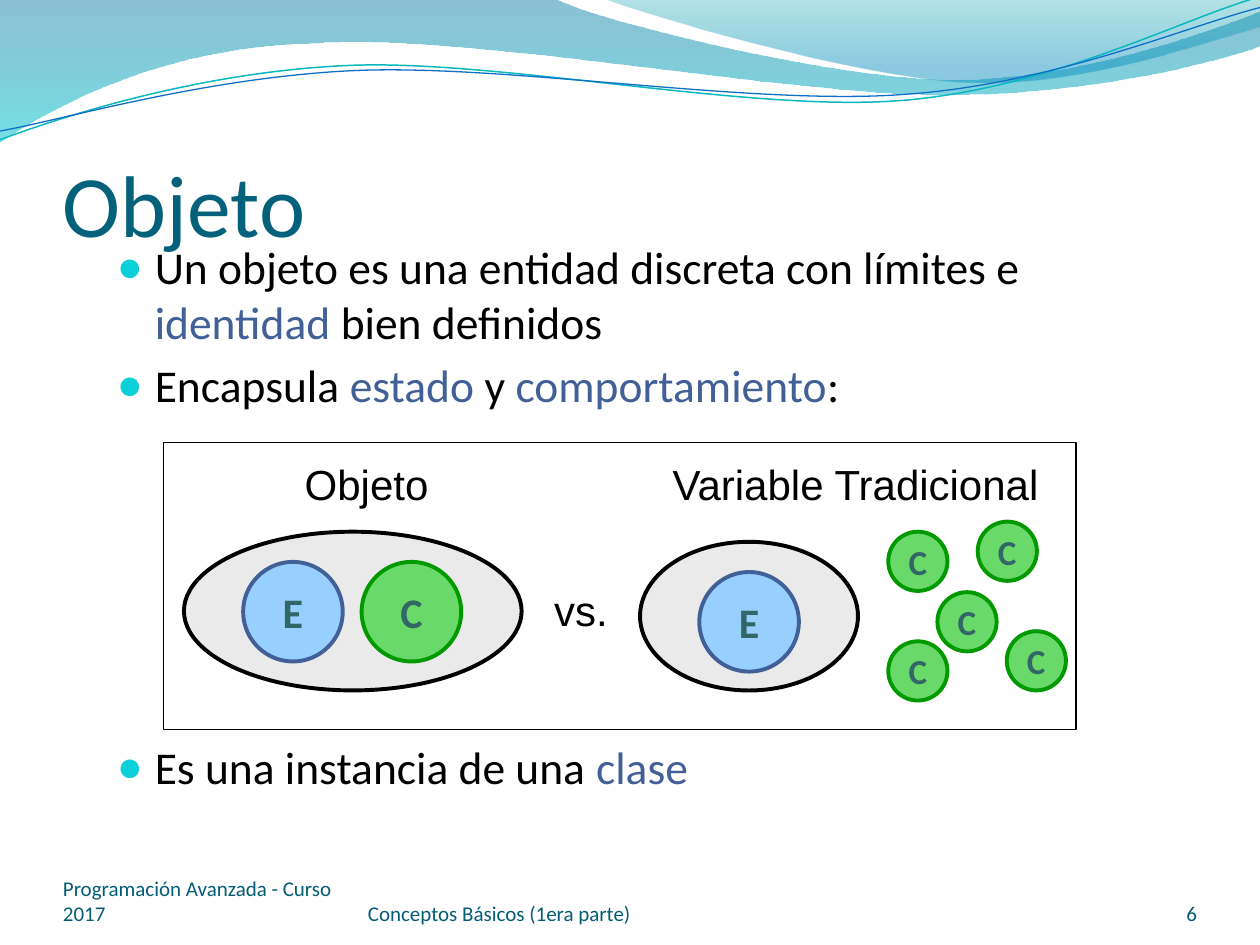
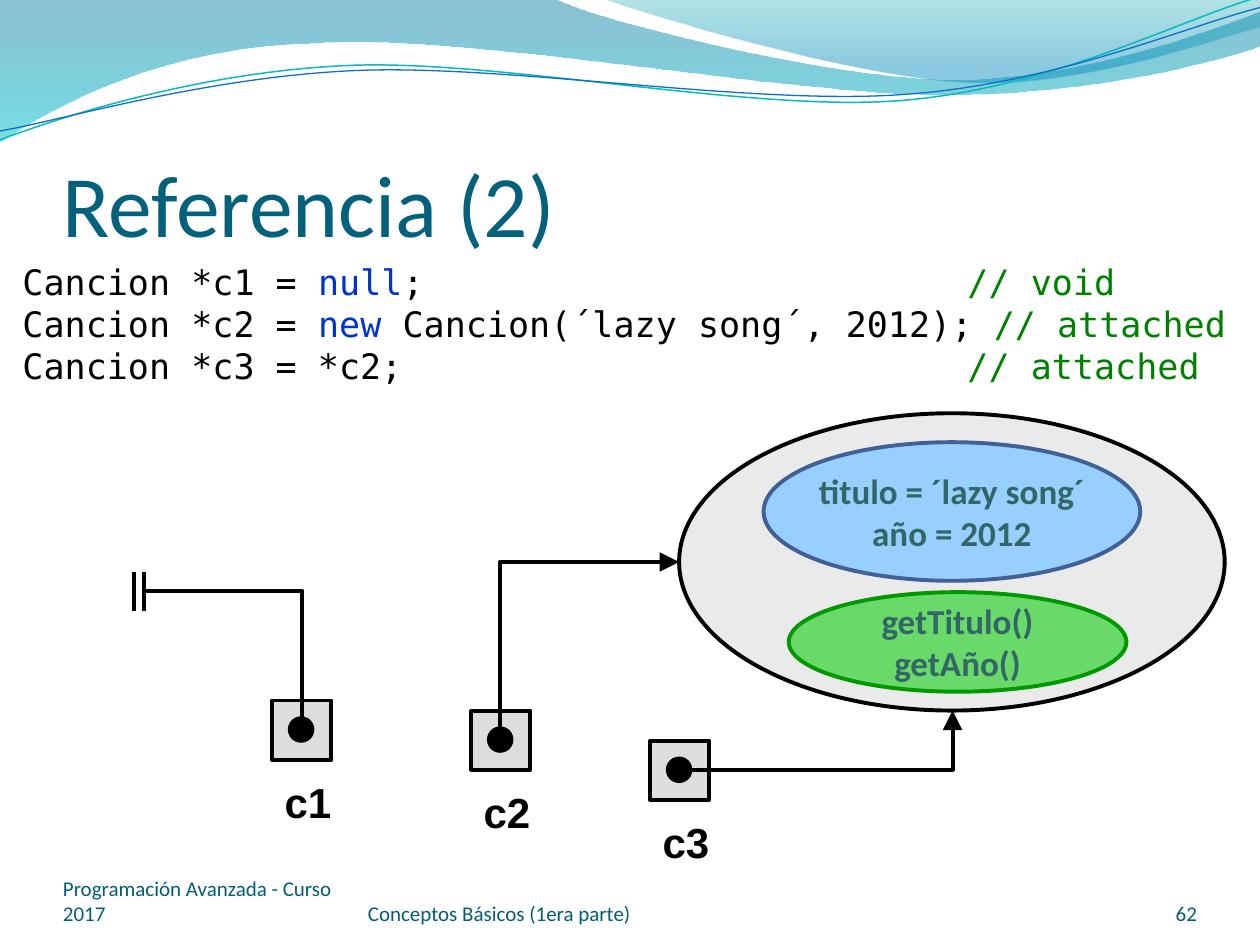
from lxml import etree
from pptx import Presentation
from pptx import util as u
from pptx.dml.color import RGBColor
from pptx.enum import shapes, text
from pptx.oxml import ns

WHITE, BLACK = RGBColor(255, 255, 255), RGBColor(0, 0, 0)
TITLE, FOOTER = RGBColor(0x04, 0x61, 0x7B), RGBColor(0x04, 0x5D, 0x75)
BULLET, KEYWORD = RGBColor(0x0B, 0xD0, 0xD9), RGBColor(0x42, 0x60, 0x98)
OBJECT_FILL, REFERENCE_FILL = RGBColor(0xEA, 0xEA, 0xEA), RGBColor(0xDD, 0xDD, 0xDD)
STATE_FILL, STATE_LINE = RGBColor(0x97, 0xD0, 0xFF), RGBColor(0x42, 0x60, 0x98)
BEHAVIOUR_FILL, BEHAVIOUR_LINE = RGBColor(0x69, 0xD9, 0x69), RGBColor(0x00, 0x99, 0x00)
MEMBER_TEXT = RGBColor(0x33, 0x66, 0x66)
CODE_KEYWORD, CODE_COMMENT = RGBColor(0x00, 0x33, 0xCC), RGBColor(0x00, 0x80, 0x00)

OBJECT = (OBJECT_FILL, BLACK)
STATE = (STATE_FILL, STATE_LINE)
BEHAVIOUR = (BEHAVIOUR_FILL, BEHAVIOUR_LINE)
OVAL, RECTANGLE = shapes.MSO_SHAPE.OVAL, shapes.MSO_SHAPE.RECTANGLE
CENTER, RIGHT = text.PP_ALIGN.CENTER, text.PP_ALIGN.RIGHT
HEADING = {"name": "Calibri", "size": u.Pt(50)}
BODY = {"name": "Calibri", "size": u.Pt(26)}
SMALL = {"name": "Calibri", "size": u.Pt(12)}
CODE = {"name": "DejaVu Sans Mono", "size": u.Pt(20)}
LABEL = {"name": "Arial", "size": u.Pt(24)}
BOLD_LABEL = {**LABEL, "bold": True}
MEMBER = {"name": "Calibri", "size": u.Pt(20), "bold": True}
LETTER = {**MEMBER, "size": u.Pt(24)}

# Each wave: a start point, then segments; three points make a curve, one a line
BAND_LEFT = [[(0, 0)],
             [(4.4, -0.01)],
             [(4.76, 0.17), (6.64, 0.63), (7.58, 0.63)],
             [(8.53, 0.63), (9.58, 0.26), (10, 0.09)],
             [(10.01, 0.36)],
             [(9.83, 0.44), (8.7, 0.76), (7.46, 0.75)],
             [(6.22, 0.75), (3.82, 0.28), (2.57, 0.34)],
             [(1.29, 0.36), (0.46, 0.83), (-0.01, 1.13)]]
BAND_RIGHT = [[(4.79, -0.01)],
              [(5.09, 0.11), (6.82, 0.62), (7.69, 0.65)],
              [(8.56, 0.69), (9.61, 0.32), (10, 0.21)],
              [(10, 0)]]
TEAL_CURVE = [[(0, 1.11)],
              [(0.48, 0.93), (1.58, 0.57), (2.77, 0.52)],
              [(3.95, 0.47), (5.93, 0.89), (7.13, 0.8)],
              [(8.33, 0.71), (9.38, 0.15), (9.98, -0.02)]]
BLUE_CURVE = [[(0, 1.04)],
              [(0.47, 0.96), (1.64, 0.61), (2.83, 0.56)],
              [(4.03, 0.51), (5.97, 0.84), (7.17, 0.75)],
              [(8.36, 0.67), (9.41, 0.21), (10, 0.06)]]
# Wave, gradient stops as (position, colour, opacity in percent)
BANDS = [(BAND_LEFT, [(0, RGBColor(0x00, 0x74, 0xA1), 45), (1, RGBColor(0x00, 0xC6, 0xCF), 55)]),
         (BAND_RIGHT, [(0, RGBColor(0x00, 0xA1, 0xA9), 30), (0.8, RGBColor(0x00, 0x8B, 0xBF), 45)])]
CURVES = [(TEAL_CURVE, RGBColor(0x0A, 0xB8, 0xBF), 0.85),
          (BLUE_CURVE, RGBColor(0x0F, 0x6F, 0xC6), 0.75)]


def add_xml(parent, tag, **attributes):
    return etree.SubElement(parent, ns.qn(tag), attributes)


def write(frame, paragraphs, font, color=BLACK, align=None):
    """Each paragraph is a list of runs: a string, or a (string, colour) pair."""
    for index, runs in enumerate(paragraphs):
        paragraph = frame.paragraphs[0] if index == 0 else frame.add_paragraph()
        paragraph.alignment = align
        for part in runs:
            content, run_color = (part, color) if isinstance(part, str) else part
            run = paragraph.add_run()
            run.text = content
            run.font.color.rgb = run_color
            for name, value in font.items():
                setattr(run.font, name, value)


def add_text(slide, box, paragraphs, font, color=BLACK, align=None, **frame_format):
    frame = slide.shapes.add_textbox(*map(u.Inches, box)).text_frame
    for name, value in {"word_wrap": True, **frame_format}.items():
        setattr(frame, name, value)
    write(frame, paragraphs, font, color, align)
    return frame


def add_label(slide, box, label, font=LABEL):
    add_text(slide, box, [[label]], font, word_wrap=False,
             auto_size=text.MSO_AUTO_SIZE.SHAPE_TO_FIT_TEXT)


def add_figure(slide, kind, box, colors, lines=(), font=MEMBER, width=2.25):
    shape = slide.shapes.add_shape(kind, *map(u.Inches, box))
    shape.shadow.inherit = False
    shape.fill.solid()
    shape.fill.fore_color.rgb, shape.line.color.rgb = colors
    shape.line.width = u.Pt(width)
    if lines:
        shape.text_frame.word_wrap = False
        shape.text_frame.vertical_anchor = text.MSO_ANCHOR.MIDDLE
        write(shape.text_frame, [[line] for line in lines], font, MEMBER_TEXT, CENTER)


def add_line(slide, begin, end, bent=False, arrow=None):
    """A bent line runs across first, then up or down; arrow is headEnd or tailEnd."""
    kind = shapes.MSO_CONNECTOR.ELBOW if bent else shapes.MSO_CONNECTOR.STRAIGHT
    line = slide.shapes.add_connector(kind, *map(u.Inches, (*begin, *end)))
    line.line.color.rgb = BLACK
    line.line.width = u.Pt(2.25)
    properties = line._element.spPr
    if bent:
        properties.find(ns.qn("a:prstGeom")).set("prst", "bentConnector2")
    if arrow:
        add_xml(properties.find(ns.qn("a:ln")), f"a:{arrow}", type="triangle", w="lg", len="lg")
    add_xml(properties, "a:effectLst")


def add_wave(slide, wave, close):
    """Join the end points by lines, then bend the lines that have control points."""
    ends = [tuple(map(u.Inches, segment[-1])) for segment in wave]
    builder = slide.shapes.build_freeform(*ends[0])
    builder.add_line_segments(ends[1:], close=close)
    shape = builder.convert_to_shape()
    shape.shadow.inherit = False
    lines = list(shape._element.spPr.iter(ns.qn("a:lnTo")))
    for line, segment in zip(lines, wave[1:]):
        if len(segment) == 3:
            curve = etree.Element(ns.qn("a:cubicBezTo"))
            for x, y in segment:
                add_xml(curve, "a:pt", x=str(u.Inches(x) - shape.left),
                        y=str(u.Inches(y) - shape.top))
            line.getparent().replace(line, curve)
    return shape


def draw_waves(slide):
    for wave, stops in BANDS:
        band = add_wave(slide, wave, close=True)
        band.line.fill.background()
        band.fill.gradient()
        band.fill.gradient_angle = 270
        for stop, (position, color, _) in zip(band.fill.gradient_stops, stops):
            stop.position, stop.color.rgb = position, color
        tints = band._element.spPr.iter(ns.qn("a:srgbClr"))
        for tint, (_, _, opacity) in zip(list(tints), stops):
            add_xml(tint, "a:alpha", val=str(opacity * 1000))
    for wave, color, width in CURVES:
        curve = add_wave(slide, wave, close=False)
        curve.fill.background()
        curve.line.color.rgb = color
        curve.line.width = u.Pt(width)


def start_slide(presentation, title):
    """Add a slide with the waves and title style that all slides share."""
    slide = presentation.slides.add_slide(presentation.slide_layouts[6])
    draw_waves(slide)
    add_text(slide, (0.5, 0.77, 9, 1.25), [[title]], HEADING, TITLE, margin_left=0,
             margin_right=0, margin_bottom=0, vertical_anchor=text.MSO_ANCHOR.BOTTOM)
    return slide


def add_footers(slide, number):
    flush = {f"margin_{side}": 0 for side in ("left", "top", "right", "bottom")}
    for left, width, content, align in ((0.5, 2.33, "Programación Avanzada - Curso 2017", None),
                                        (2.92, 3.67, "Conceptos Básicos (1era parte)", None),
                                        (8.67, 0.83, str(number), RIGHT)):
        add_text(slide, (left, 6.95, width, 0.4), [[content]], SMALL, FOOTER, align,
                 vertical_anchor=text.MSO_ANCHOR.BOTTOM, **flush)


def add_bullets(slide, box, paragraphs, gaps):
    """Write bulleted paragraphs, each with its gap above in points."""
    frame = add_text(slide, box, paragraphs, BODY)
    for paragraph, gap in zip(frame.paragraphs, gaps):
        paragraph.space_before = u.Pt(gap)
        properties = paragraph._p.get_or_add_pPr()
        properties.set("marL", str(u.Inches(0.3)))
        properties.set("indent", str(u.Inches(-0.3)))
        add_xml(add_xml(properties, "a:buClr"), "a:srgbClr", val=str(BULLET))
        add_xml(properties, "a:buSzPct", val="95000")
        add_xml(properties, "a:buFont", typeface="Arial")
        add_xml(properties, "a:buChar", char="●")


def draw_comparison(slide, left, top):
    """Object against traditional variable."""
    def place(x, y, width, height):
        return left + x, top + y, width, height

    for oval in ((0.16, 0.71, 2.68, 1.26), (3.78, 0.79, 1.73, 1.18)):
        add_figure(slide, OVAL, place(*oval), OBJECT)
    for x, y, letter, colors in ((0.63, 0.95, "E", STATE), (1.57, 0.95, "C", BEHAVIOUR),
                                 (4.25, 1.03, "E", STATE)):
        add_figure(slide, OVAL, place(x, y, 0.79, 0.79), colors, [letter], LETTER)
    for x, y in ((6.14, 1.19), (5.75, 1.58), (6.69, 1.5), (6.46, 0.63), (5.75, 0.71)):
        add_figure(slide, OVAL, place(x, y, 0.47, 0.47), BEHAVIOUR, ["C"])
    for x, y, width, label in ((1.02, 0.08, 1.18, "Objeto"), (3, 1.08, 0.63, "vs."),
                               (3.94, 0.08, 3.15, "Variable Tradicional")):
        add_label(slide, place(x, y, width, 0.5), label)


def build_object_slide(presentation):
    slide = start_slide(presentation, "Objeto")
    left, top = 1.3, 3.51
    add_figure(slide, RECTANGLE, (left, top, 7.24, 2.28), (WHITE, BLACK), width=0.75)
    add_bullets(slide, (0.83, 1.85, 8.38, 4.97), [
        ["Un objeto es una entidad discreta con límites e ", ("identidad", KEYWORD),
         " bien definidos"],
        ["Encapsula ", ("estado", KEYWORD), " y ", ("comportamiento", KEYWORD), ":"],
        ["Es una instancia de una ", ("clase", KEYWORD)]], gaps=(5, 5, 187))
    draw_comparison(slide, left, top)
    add_footers(slide, 6)


def add_code(slide, box, comment_column):
    frame = add_text(slide, box, [
        ["Cancion *c1 = ", ("null", CODE_KEYWORD), ";\t", ("// void", CODE_COMMENT)],
        ["Cancion *c2 = ", ("new ", CODE_KEYWORD), "Cancion(´lazy song´, 2012); ",
         ("// attached", CODE_COMMENT)],
        ["Cancion *c3 = *c2;", ("\t// attached", CODE_COMMENT)]], CODE)
    for paragraph in frame.paragraphs:
        stops = add_xml(paragraph._p.get_or_add_pPr(), "a:tabLst")
        add_xml(stops, "a:tab", pos=str(u.Inches(comment_column)), algn="l")


def draw_song(slide, left, top):
    add_figure(slide, OVAL, (left, top, 4.33, 2.36), OBJECT)
    add_figure(slide, OVAL, (left + 0.67, top + 0.23, 2.99, 1.1), STATE,
               ["titulo = ´lazy song´", "año = 2012"])
    add_figure(slide, OVAL, (left + 0.87, top + 1.42, 2.68, 0.79), BEHAVIOUR,
               ["getTitulo()", "getAño()"])


def draw_reference(slide, left, top, name):
    add_figure(slide, RECTANGLE, (left, top, 0.47, 0.47), (REFERENCE_FILL, BLACK))
    add_figure(slide, OVAL, (left + 0.13, top + 0.13, 0.2, 0.2), (BLACK, BLACK), width=0.75)
    add_label(slide, (left, top + 0.55, 0.58, 0.5), name, BOLD_LABEL)


def build_reference_slide(presentation):
    slide = start_slide(presentation, "Referencia (2)")
    add_code(slide, (0.08, 2.02, 9.92, 1.11), comment_column=7.5)
    draw_song(slide, 5.39, 3.28)
    for left, top, name in ((2.16, 5.56, "c1"), (3.74, 5.64, "c2"), (5.16, 5.88, "c3")):
        draw_reference(slide, left, top, name)
    add_line(slide, (5.39, 4.46), (3.97, 5.77), bent=True, arrow="headEnd")
    add_line(slide, (1.14, 4.69), (2.4, 5.69), bent=True)
    add_line(slide, (5.49, 6.11), (7.56, 5.64), bent=True, arrow="tailEnd")
    for x in (1.14, 1.06):
        add_line(slide, (x, 4.54), (x, 4.85))
    add_footers(slide, 62)


def main():
    presentation = Presentation()
    presentation.slide_width, presentation.slide_height = u.Inches(10), u.Inches(7.5)
    build_object_slide(presentation)
    build_reference_slide(presentation)
    presentation.save("out.pptx")


if __name__ == "__main__":
    main()
